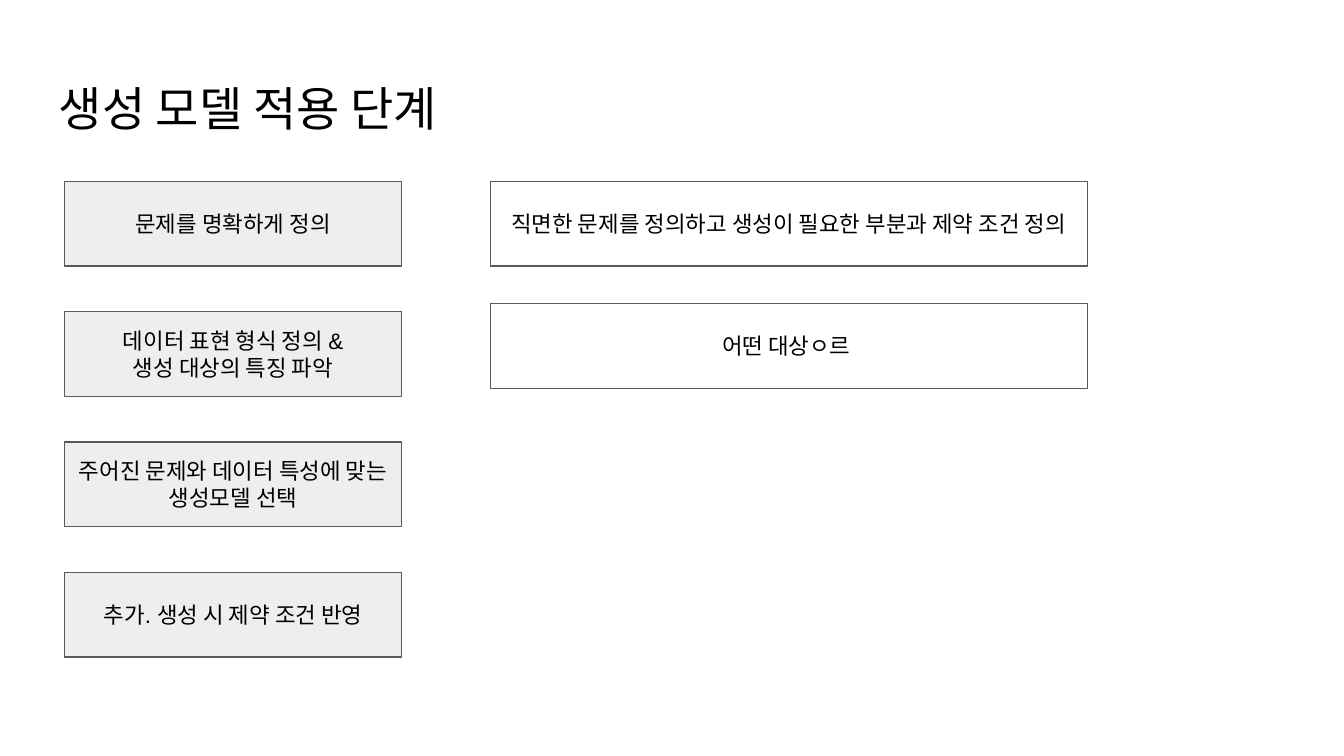
"""Builds a slide on the steps for applying a generative model."""
from dataclasses import dataclass

from pptx import Presentation, util as u
from pptx.dml import color
from pptx.enum import shapes, text
from pptx.slide import Slide


def rgb(value):
    return color.RGBColor.from_string(value)


def write(frame, content, size=12, ink="000000", font="Arial",
          align=text.PP_ALIGN.CENTER, anchor=text.MSO_ANCHOR.MIDDLE):
    frame.word_wrap = True
    frame.vertical_anchor = anchor
    frame.margin_left = frame.margin_right = u.Inches(0.1)
    frame.margin_top = frame.margin_bottom = u.Inches(0.1)
    for index, line in enumerate(content.split("\n")):
        para = frame.add_paragraph() if index else frame.paragraphs[0]
        para.alignment = align
        span = para.add_run()
        span.text = line
        span.font.size = u.Pt(size)
        span.font.name = font
        span.font.color.rgb = rgb(ink)


@dataclass
class Painter:
    slide: Slide
    line: str = "595959"
    box_height: float = 0.63

    def title(self, content, left, top, width, height):
        box = self.slide.shapes.add_textbox(*map(u.Inches, (left, top, width, height)))
        write(box.text_frame, content, size=25.2,
              align=text.PP_ALIGN.LEFT, anchor=text.MSO_ANCHOR.TOP)

    def box(self, content, left, top, width, fill=None):
        box = self.slide.shapes.add_shape(
            shapes.MSO_SHAPE.RECTANGLE,
            *map(u.Inches, (left, top, width, self.box_height)))
        box.shadow.inherit = False
        if fill:
            box.fill.solid()
            box.fill.fore_color.rgb = rgb(fill)
        else:
            box.fill.background()
        box.line.color.rgb = rgb(self.line)
        box.line.width = u.Pt(0.75)
        write(box.text_frame, content)

    def column(self, contents, left, top, width, pitch, fill=None):
        for row, content in enumerate(contents):
            self.box(content, left, top + row * pitch, width, fill)


def main():
    deck = Presentation()
    deck.slide_width, deck.slide_height = u.Inches(10), u.Inches(5.625)
    painter = Painter(deck.slides.add_slide(deck.slide_layouts[6]))

    painter.title("생성 모델 적용 단계", 0.34, 0.49, 9.32, 0.63)
    steps = [
        "문제를 명확하게 정의",
        "데이터 표현 형식 정의 &\n생성 대상의 특징 파악",
        "주어진 문제와 데이터 특성에 맞는\n생성모델 선택",
        "추가. 생성 시 제약 조건 반영",
    ]
    details = [
        "직면한 문제를 정의하고 생성이 필요한 부분과 제약 조건 정의",
        "어떤 대상ㅇ르 ",
    ]
    painter.column(steps, left=0.48, top=1.35, width=2.51, pitch=0.97, fill="EEEEEE")
    painter.column(details, left=3.65, top=1.35, width=4.44, pitch=0.91)
    deck.save("out.pptx")


if __name__ == "__main__":
    main()
